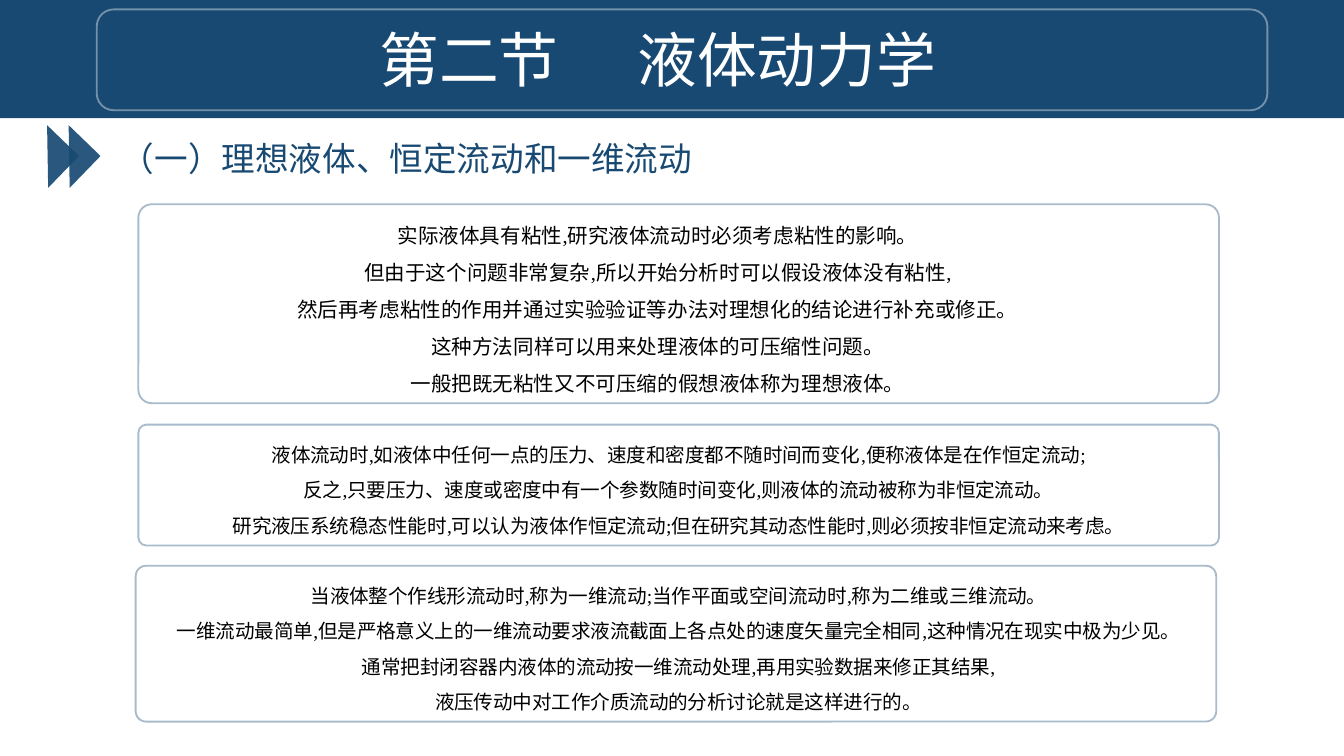
from pptx import Presentation
from pptx.dml.color import RGBColor
from pptx.enum.shapes import MSO_SHAPE
from pptx.enum.text import MSO_AUTO_SIZE, PP_ALIGN
from pptx.oxml.ns import qn
from pptx.util import Inches, Pt
from lxml.etree import SubElement

W = 10
H = W * 9 / 16
NAVY, WHITE, BLACK = "184972", "FFFFFF", "000000"
FONT = "Times New Roman"

TITLE = ("第二节", "液体动力学")
HEADING = "（一）理想液体、恒定流动和一维流动"
CARDS = [
    dict(box=(1.03, 1.52, 8.04, 1.48), text_x=1.26, text_w=7.27, size=11, lines=[
        "实际液体具有粘性,研究液体流动时必须考虑粘性的影响。",
        "但由于这个问题非常复杂,所以开始分析时可以假设液体没有粘性,",
        "然后再考虑粘性的作用并通过实验验证等办法对理想化的结论进行补充或修正。",
        "这种方法同样可以用来处理液体的可压缩性问题。",
        "一般把既无粘性又不可压缩的假想液体称为理想液体。",
    ]),
    dict(box=(1.03, 3.16, 8.04, 0.9), text_x=1.42, text_w=7.26, size=10.5, lines=[
        "液体流动时,如液体中任何一点的压力、速度和密度都不随时间而变化,便称液体是在作恒定流动;",
        "反之,只要压力、速度或密度中有一个参数随时间变化,则液体的流动被称为非恒定流动。",
        "研究液压系统稳态性能时,可以认为液体作恒定流动;但在研究其动态性能时,则必须按非恒定流动来考虑。",
    ]),
    dict(box=(1.01, 4.21, 8.04, 1.16), text_x=0.87, text_w=8.36, size=10.5, lines=[
        "当液体整个作线形流动时,称为一维流动;当作平面或空间流动时,称为二维或三维流动。",
        "一维流动最简单,但是严格意义上的一维流动要求液流截面上各点处的速度矢量完全相同,这种情况在现实中极为少见。",
        "通常把封闭容器内液体的流动按一维流动处理,再用实验数据来修正其结果,",
        "液压传动中对工作介质流动的分析讨论就是这样进行的。",
    ]),
]


def rgb(color):
    return RGBColor.from_string(color)


def set_alpha(fill, percent):
    clr = fill._xPr.find(qn("a:solidFill"))[0]
    SubElement(clr, qn("a:alpha")).set("val", str(percent * 1000))


def add_shape(s, kind, box, fill=None, line=None, alpha=100, radius=None):
    sp = s.shapes.add_shape(kind, *map(Inches, box))
    sp.shadow.inherit = False
    if radius is not None:
        sp.adjustments[0] = radius
    for part, color in ((sp.fill, fill), (sp.line.fill, line)):
        if color is None:
            part.background()
            continue
        part.solid()
        part.fore_color.rgb = rgb(color)
        if alpha < 100:
            set_alpha(part, alpha)
    if line:
        sp.line.width = Pt(1)
    return sp


def add_run(p, text, size, color):
    r = p.add_run()
    r.text = text
    r.font.name, r.font.size = FONT, Pt(size)
    r.font.color.rgb = rgb(color)
    return r


def add_text(s, lines, box, size=18, color=BLACK, spacing=None):
    tf = s.shapes.add_textbox(*map(Inches, box)).text_frame
    tf.word_wrap = True
    tf.auto_size = MSO_AUTO_SIZE.SHAPE_TO_FIT_TEXT
    for i, line in enumerate(lines):
        p = tf.add_paragraph() if i else tf.paragraphs[0]
        p.alignment = PP_ALIGN.CENTER
        if spacing:
            p.line_spacing = spacing
        add_run(p, line, size, color)
    return tf


prs = Presentation()
prs.slide_width, prs.slide_height = Inches(W), Inches(H)
s = prs.slides.add_slide(prs.slide_layouts[6])

add_shape(s, MSO_SHAPE.RECTANGLE, (0, 0, W, 0.88), fill=NAVY)
add_shape(s, MSO_SHAPE.ROUNDED_RECTANGLE, (0.72, 0.07, 8.71, 0.75), line=WHITE, alpha=40)
section, topic = TITLE
p = add_text(s, [section], (0.72, 0.12, 8.35, 0.64), size=32, color=WHITE).paragraphs[0]
gap = add_run(p, " ", 32, WHITE)
gap._r.get_or_add_rPr().set("spc", "3500")
add_run(p, topic, 32, WHITE)

for i in range(2):
    arrow = add_shape(s, MSO_SHAPE.RIGHT_TRIANGLE, (0.19 + 0.16 * i, 1, 0.33, 0.33),
                      fill=NAVY, alpha=92)
    arrow.rotation = 44
    for flip in ("flipH", "flipV"):
        arrow._element.spPr.xfrm.set(flip, "1")
add_text(s, [HEADING], (0.65, 0.98, 4.75, 0.4), color=NAVY)

for card in CARDS:
    x, y, w, h = card["box"]
    add_shape(s, MSO_SHAPE.ROUNDED_RECTANGLE, card["box"], line=NAVY, alpha=36, radius=0.067)
    add_text(s, card["lines"], (card["text_x"], y, card["text_w"], h),
             size=card["size"], spacing=1.5)

prs.save("out.pptx")
